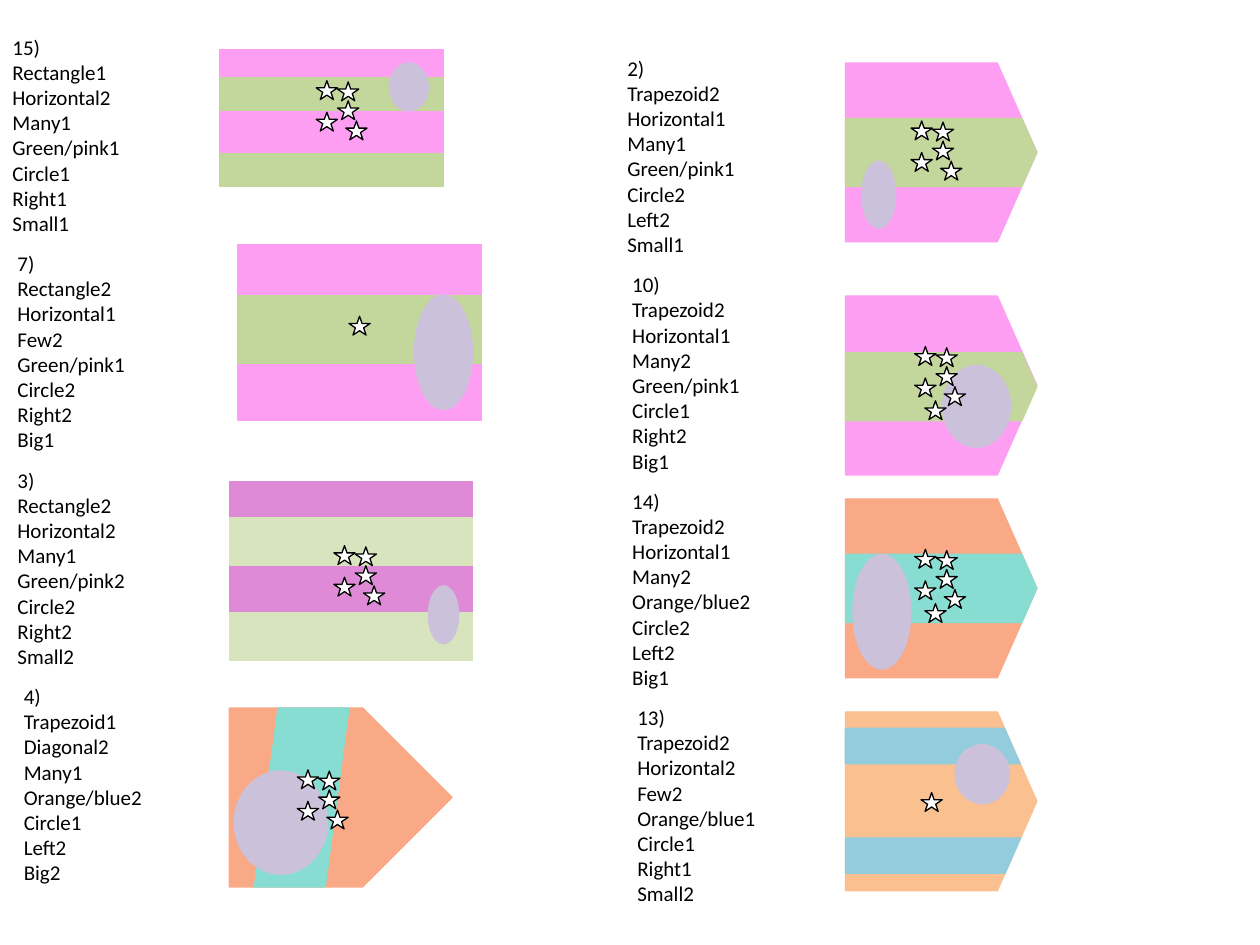
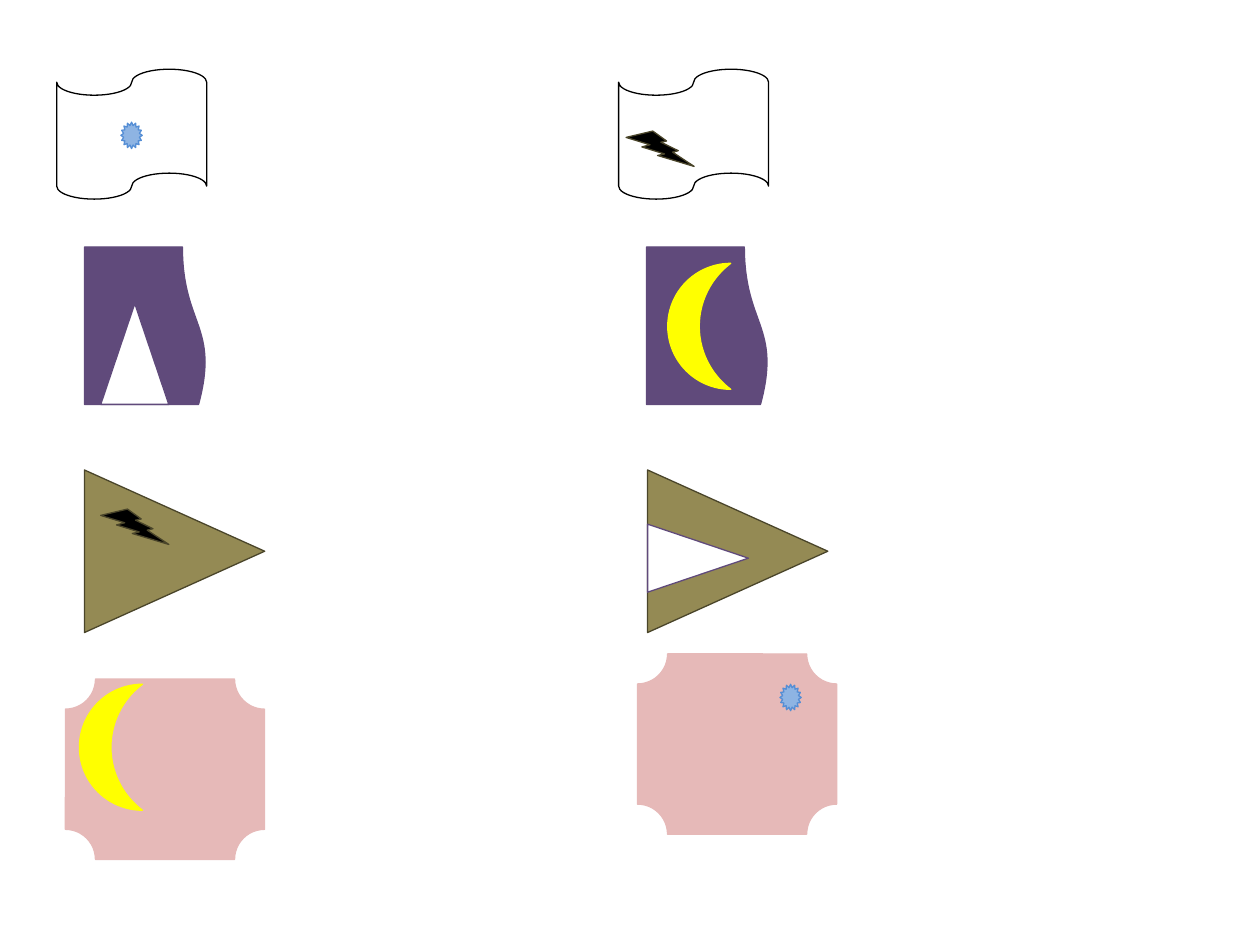
from pptx import Presentation
from pptx.dml.color import RGBColor
from pptx.enum.shapes import MSO_SHAPE
from pptx.util import Pt

# Colours
BLACK = RGBColor(0x00, 0x00, 0x00)
WHITE = RGBColor(0xFF, 0xFF, 0xFF)
PINK = RGBColor(0xFE, 0x9E, 0xF3)
GREEN = RGBColor(0xC3, 0xD6, 0x9B)
DEEP_PINK = RGBColor(0xDE, 0x8A, 0xD6)
PALE_GREEN = RGBColor(0xD7, 0xE4, 0xBD)
SALMON = RGBColor(0xFA, 0xA9, 0x87)
TURQUOISE = RGBColor(0x87, 0xDD, 0xD2)
ORANGE = RGBColor(0xFA, 0xC0, 0x90)
BLUE = RGBColor(0x93, 0xCD, 0xDD)
LILAC = RGBColor(0xCC, 0xC1, 0xDA)
PURPLE = RGBColor(0x60, 0x4A, 0x7B)
OLIVE = RGBColor(0x94, 0x8A, 0x54)
DARK_OLIVE = RGBColor(0x4A, 0x45, 0x2A)
ROSE = RGBColor(0xE6, 0xB9, 0xB8)
YELLOW = RGBColor(0xFF, 0xFF, 0x00)
SKY = RGBColor(0x8E, 0xB4, 0xE3)
DARK_SKY = RGBColor(0x55, 0x8E, 0xD5)

FONT = "Calibri"
RECTANGLE, PLATE = MSO_SHAPE.RECTANGLE, MSO_SHAPE.PENTAGON
POINT_RATIO = 0.221

# Captions: (first top, lefts, captions from top to bottom) for each column
CAPTION_WIDTH, CAPTION_HEIGHT, CAPTION_PITCH = 87, 124, 123.7
CAPTION_COLUMNS = [
    (16, (0, 2.9, 2.9, 6.5), [
        ["15)", "Rectangle1 Horizontal2", "Many1", "Green/pink1 Circle1", "Right1", "Small1"],
        ["7)", "Rectangle2 Horizontal1 Few2", "Green/pink1 Circle2", "Right2", "Big1"],
        ["3)", "Rectangle2 Horizontal2 Many1", "Green/pink2 Circle2", "Right2", "Small2"],
        ["4)", "Trapezoid1 Diagonal2 Many1 Orange/blue2 Circle1", "Left2", "Big2"],
    ]),
    (28, (351.4, 354.2, 354.2, 357.1), [
        ["2)", "Trapezoid2 Horizontal1 Many1", "Green/pink1 Circle2", "Left2", "Small1"],
        ["10)", "Trapezoid2 Horizontal1 Many2", "Green/pink1 Circle1", "Right2", "Big1"],
        ["14)", "Trapezoid2 Horizontal1 Many2 Orange/blue2 Circle2", "Left2", "Big1"],
        ["13)", "Trapezoid2 Horizontal2 Few2", "Orange/blue1 Circle1", "Right1", "Small2"],
    ]),
]

# Flags: kind, frame, colours, bands (offset, height), circle, star count, first star
FLAGS = [
    (RECTANGLE, (125.3, 28.1, 128.2, 77.8), PINK, GREEN, [(16.5, 18.7), (59.7, 18.7)],
     (222.5, 36, 22.3, 27.4), 5, (180.7, 46.1)),
    (RECTANGLE, (136.1, 139.7, 139, 100.8), PINK, GREEN, [(29.5, 38.2)],
     (236.9, 168.5, 33.1, 65.5), 1, (199.4, 180.7)),
    (RECTANGLE, (131, 275, 139, 100.8), DEEP_PINK, PALE_GREEN, [(20.9, 27.4), (74.9, 27.4)],
     (244.8, 334.8, 17.3, 33.1), 5, (190.8, 311.8)),
    ("diagonal", (131, 404.6, 127.4, 102.2), SALMON, TURQUOISE, [(14.4, 54)],
     (133.9, 440.6, 53.3, 59), 5, (169.9, 439.9)),
    (PLATE, (483.1, 36, 109.4, 102.2), PINK, GREEN, [(31.7, 38.9)],
     (492.5, 92.2, 19.4, 38.2), 5, (520.6, 69.1)),
    (PLATE, (483.1, 169.2, 109.4, 102.2), PINK, GREEN, [(32.4, 38.9)],
     (538.6, 208.8, 38.9, 46.8), 6, (522.7, 198)),
    (PLATE, (483.1, 285.1, 109.4, 102.2), SALMON, TURQUOISE, [(31.7, 38.9)],
     (487.4, 316.8, 33.1, 65.5), 6, (522.7, 313.9)),
    ("cut bands", (483.1, 406.8, 109.4, 102.2), ORANGE, BLUE, [(9.4, 20.2), (72, 20.2)],
     (545.8, 425.5, 31, 33.8), 1, (526.3, 452.9)),
]
STAR_SIZE = (12.2, 10.8)
STAR_OFFSETS = [(0, 0), (12.2, 11.5), (12.2, 0.7), (0, 18), (16.9, 23), (5.8, 31)]

# Second slide: kind, size, fill, line
SYMBOLS = {
    "wave": (MSO_SHAPE.FLOWCHART_PUNCHED_TAPE, (85.7, 74.2), WHITE, BLACK),
    "sun": (MSO_SHAPE.STAR_16_POINT, (12.2, 15.1), SKY, DARK_SKY),
    "curtain": (MSO_SHAPE.FLOWCHART_DOCUMENT, (90, 69.8), PURPLE, PURPLE),
    "tent": (MSO_SHAPE.FLOWCHART_EXTRACT, (38.9, 57.6), WHITE, PURPLE),
    "pennant": (MSO_SHAPE.ISOSCELES_TRIANGLE, (92.9, 103), OLIVE, DARK_OLIVE),
    "bolt": (MSO_SHAPE.LIGHTNING_BOLT, (38.9, 20.2), BLACK, DARK_OLIVE),
    "plaque": (MSO_SHAPE.PLAQUE, (113.8, 103), ROSE, ROSE),
    "moon": (MSO_SHAPE.MOON, (36, 72), YELLOW, YELLOW),
}
# Symbol, left, top, rotation
PLACED_SYMBOLS = [
    ("wave", 32.4, 39.6, 0), ("sun", 69.1, 69.8, 0),
    ("curtain", 38.2, 151.2, 270), ("tent", 57.6, 173.5, 0),
    ("pennant", 53.3, 263.5, 90), ("bolt", 57.6, 290.9, 0),
    ("plaque", 37.4, 388.1, 0), ("moon", 45.4, 391, 0),
    ("wave", 353.5, 39.6, 0), ("bolt", 357.8, 74.9, 0),
    ("curtain", 359.3, 151.2, 270), ("moon", 381.6, 150.5, 0),
    ("pennant", 375.1, 263.5, 90), ("tent", 379.4, 290.2, 90),
    ("plaque", 364.3, 373.7, 0), ("sun", 445.7, 391, 0),
]


def paint(shape, fill, line):
    shape.shadow.inherit = False
    shape.fill.solid()
    shape.fill.fore_color.rgb = fill
    shape.line.color.rgb = line
    shape.line.width = Pt(0.75)


def add_figure(shapes, kind, frame, fill, line=None):
    shape = shapes.add_shape(kind, *[Pt(length) for length in frame])
    paint(shape, fill, line or fill)
    if kind == PLATE:
        shape.adjustments[0] = POINT_RATIO
    return shape


def add_caption(slide, left, top, lines):
    box = slide.shapes.add_textbox(Pt(left), Pt(top), Pt(CAPTION_WIDTH), Pt(CAPTION_HEIGHT))
    box.text_frame.word_wrap = True
    box.text_frame.text = "\n".join(lines)
    for para in box.text_frame.paragraphs:
        for span in para.runs:
            span.font.name = FONT
            span.font.size = Pt(12)
            span.font.color.rgb = BLACK


def add_cut_band(slide, frame, offset, height, color):
    """Band whose right end follows the slope of the pointed flag."""
    left, top, width, flag_height = frame
    half = flag_height / 2

    def edge(y):
        return left + width - POINT_RATIO * flag_height * abs(y - half) / half

    bottom = offset + height
    corners = [(edge(offset), top + offset), (edge(bottom), top + bottom), (left, top + bottom)]
    builder = slide.shapes.build_freeform(Pt(left), Pt(top + offset))
    builder.add_line_segments([(Pt(x), Pt(y)) for x, y in corners], close=True)
    paint(builder.convert_to_shape(), color, color)


def add_stars(slide, count, left, top):
    shapes = slide.shapes if count == 1 else slide.shapes.add_group_shape().shapes
    for across, down in STAR_OFFSETS[:count]:
        frame = (left + across, top + down, *STAR_SIZE)
        add_figure(shapes, MSO_SHAPE.STAR_5_POINT, frame, WHITE, BLACK)


def add_flag(slide, kind, frame, ground, stripe, bands, circle, count, first_star):
    left, top, width, height = frame
    if kind == "diagonal":
        field = add_figure(slide.shapes, PLATE, frame, ground)
        field.adjustments[0] = 0.5
    else:
        add_figure(slide.shapes, PLATE if kind == "cut bands" else kind, frame, ground)
    for offset, size in bands:
        if kind == "diagonal":
            add_figure(slide.shapes, MSO_SHAPE.PARALLELOGRAM,
                       (left + offset, top, size, height), stripe)
        elif kind == "cut bands":
            add_cut_band(slide, frame, offset, size, stripe)
        else:
            add_figure(slide.shapes, kind, (left, top + offset, width, size), stripe)
    add_figure(slide.shapes, MSO_SHAPE.OVAL, circle, LILAC)
    add_stars(slide, count, *first_star)


deck = Presentation()
deck.slide_width, deck.slide_height = Pt(720), Pt(540)
blank = deck.slide_layouts[6]

# Slide 1: captioned flags
page = deck.slides.add_slide(blank)
for first_top, lefts, captions in CAPTION_COLUMNS:
    for row, (left, lines) in enumerate(zip(lefts, captions)):
        add_caption(page, left, first_top + row * CAPTION_PITCH, lines)
for flag in FLAGS:
    add_flag(page, *flag)

# Slide 2: flags with symbols
page = deck.slides.add_slide(blank)
for name, left, top, rotation in PLACED_SYMBOLS:
    kind, size, fill, line = SYMBOLS[name]
    add_figure(page.shapes, kind, (left, top, *size), fill, line).rotation = rotation

deck.save("out.pptx")
